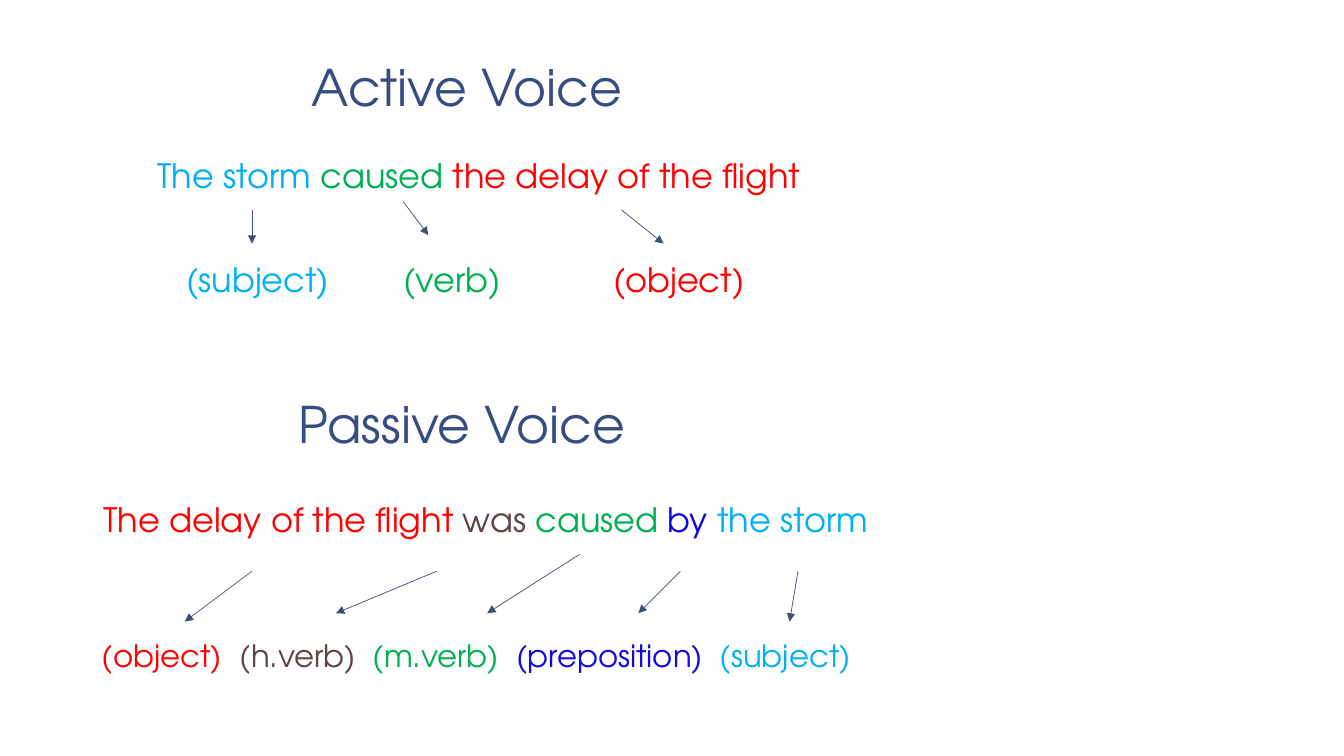
"""Build a slide that labels the parts of an active and a passive sentence."""
import pptx
import pptx.dml.color
import pptx.enum.shapes
import pptx.enum.text
import pptx.oxml
import pptx.oxml.ns
import pptx.util

COLORS = {
    "heading": "374C81",
    "subject": "00B0F0",
    "verb": "00B050",
    "object": "FF0000",
    "helper": "5E4545",
    "preposition": "1309DD",
    "arrow": "414E77",
}
FONT = "TeX Gyre Adventor"
COLUMNS, ROWS = 160, 90

deck = pptx.Presentation()
deck.slide_width = pptx.util.Inches(13.33)
deck.slide_height = pptx.util.Inches(7.5)
slide = deck.slides.add_slide(deck.slide_layouts[6])
column = deck.slide_width / COLUMNS
row = deck.slide_height / ROWS


def write(text, center, middle, width, size, height=6):
    """Centre (words, role) pairs on a grid point as one line."""
    box = slide.shapes.add_textbox(
        int((center - width / 2) * column), int((middle - height / 2) * row),
        int(width * column), int(height * row))
    frame = box.text_frame
    frame.word_wrap = False
    frame.vertical_anchor = pptx.enum.text.MSO_ANCHOR.MIDDLE
    frame.margin_left = frame.margin_right = 0
    frame.margin_top = frame.margin_bottom = 0
    line = frame.paragraphs[0]
    line.alignment = pptx.enum.text.PP_ALIGN.CENTER
    for words, role in text:
        run = line.add_run()
        run.text = words
        run.font.name = FONT
        run.font.size = pptx.util.Pt(size)
        run.font.color.rgb = pptx.dml.color.RGBColor.from_string(COLORS[role])


write([("Active Voice", "heading")], center=55.6, middle=10.3, width=44, size=36)
write([("The storm ", "subject"), ("caused ", "verb"),
       ("the delay of the flight", "object")],
      center=57, middle=20.8, width=84, size=24)
write([("Passive Voice", "heading")], center=55, middle=50.4, width=44, size=36)
write([("The delay of the flight ", "object"), ("was ", "helper"),
       ("caused ", "verb"), ("by ", "preposition"), ("the storm", "subject")],
      center=57.8, middle=61.8, width=98, size=24)

active_labels = [
    ("(subject)", "subject", 30.7, 20),
    ("(verb)", "verb", 53.8, 14),
    ("(object)", "object", 80.8, 18),
]
passive_labels = [
    ("(object)", "object", 19.3, 16),
    ("(h.verb)", "helper", 35.5, 16),
    ("(m.verb)", "verb", 51.9, 17),
    ("(preposition)", "preposition", 72.6, 24),
    ("(subject)", "subject", 93.5, 17.5),
]
for labels, middle, size in [(active_labels, 33.2, 24), (passive_labels, 78, 22)]:
    for label, role, center, width in labels:
        write([(label, role)], center=center, middle=middle, width=width, size=size)

arrows = [
    (30, 25, 30, 29), (48, 24, 51, 28), (74, 25, 79, 29),
    (30, 68, 22, 74), (52, 68, 40, 73), (69, 66, 58, 73),
    (81, 68, 76, 73), (95, 68, 94, 74),
]
for start_x, start_y, end_x, end_y in arrows:
    arrow = slide.shapes.add_connector(
        pptx.enum.shapes.MSO_CONNECTOR.STRAIGHT,
        int(start_x * column), int(start_y * row),
        int(end_x * column), int(end_y * row))
    arrow.line.width = pptx.util.Pt(0.5)
    arrow.line.color.rgb = pptx.dml.color.RGBColor.from_string(COLORS["arrow"])
    head = pptx.oxml.parse_xml(
        f'<a:tailEnd {pptx.oxml.ns.nsdecls("a")} type="triangle"/>')
    arrow.line._get_or_add_ln().append(head)
    effects = pptx.oxml.parse_xml(f'<a:effectLst {pptx.oxml.ns.nsdecls("a")}/>')
    arrow._element.spPr.append(effects)

deck.save("out.pptx")
